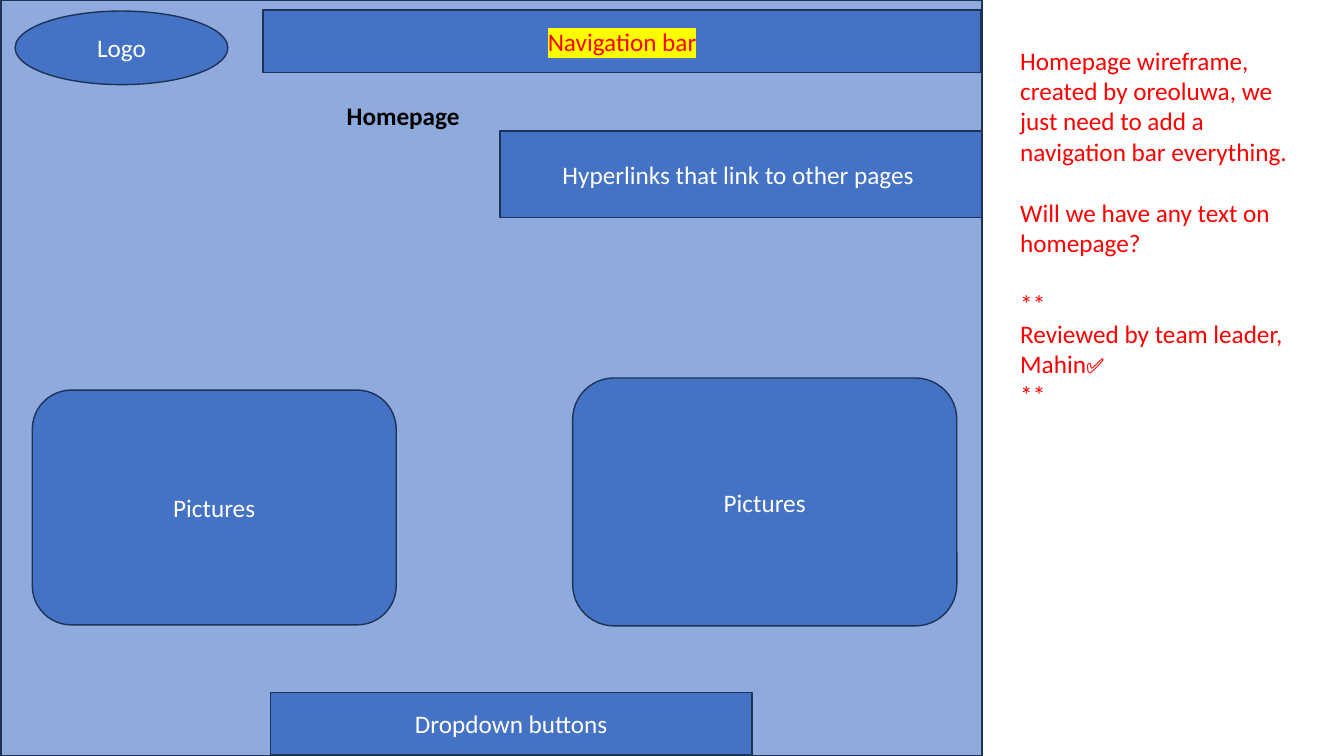
from lxml import etree
from pptx import Presentation
from pptx.dml.color import RGBColor
from pptx.enum.shapes import MSO_SHAPE as Shape
from pptx.enum.text import MSO_ANCHOR as Anchor, MSO_AUTO_SIZE as AutoSize, PP_ALIGN as Align
from pptx.oxml.ns import qn
from pptx.util import Inches, Pt

COLORS = {
    "page": "8FAADC",
    "block": "4472C4",
    "outline": "1E3256",
    "label": "FFFFFF",
    "heading": "000000",
    "note": "FF0000",
    "marker": "FFFF00",
}


class Wireframe:
    face = "Calibri"
    size = 18

    def __init__(self, slide):
        self.slide = slide

    def style(self, font, color, size=None, face=None, bold=None):
        font.name = face or self.face
        font.size = Pt(size or self.size)
        font.color.rgb = RGBColor.from_string(COLORS[color])
        font.bold = bold

    def block(self, kind, box, label="", fill="block", color="label"):
        block = self.slide.shapes.add_shape(kind, *map(Inches, box))
        block.shadow.inherit = False
        block.fill.solid()
        block.fill.fore_color.rgb = RGBColor.from_string(COLORS[fill])
        block.line.color.rgb = RGBColor.from_string(COLORS["outline"])
        block.line.width = Pt(1)
        if label:
            frame = block.text_frame
            frame.word_wrap = True
            frame.vertical_anchor = Anchor.MIDDLE
            line = frame.paragraphs[0]
            line.alignment = Align.CENTER
            line.add_run().text = label
            self.style(line.font, color)
        return block

    def highlight(self, block, color):
        run = block.text_frame.paragraphs[0].runs[0]
        marker = etree.SubElement(run.font._element, qn("a:highlight"))
        etree.SubElement(marker, qn("a:srgbClr"), val=COLORS[color])

    def text(self, box, lines, color, bold=None):
        frame = self.slide.shapes.add_textbox(*map(Inches, box)).text_frame
        frame.word_wrap = True
        frame.auto_size = AutoSize.SHAPE_TO_FIT_TEXT
        for index, (words, gap, mark) in enumerate(lines):
            line = frame.add_paragraph() if index else frame.paragraphs[0]
            if gap:
                line.space_before = Pt(gap)
            run = line.add_run()
            run.text = words
            if mark:
                self.style(run.font, color, bold=bold)
                tick = line.add_run()
                tick.text = mark
                self.style(tick.font, color, size=15, face="Arial")
            else:
                self.style(line.font, color, bold=bold)


def main():
    deck = Presentation()
    deck.slide_width, deck.slide_height = Inches(13.33), Inches(7.5)
    page = Wireframe(deck.slides.add_slide(deck.slide_layouts[6]))

    page.block(Shape.RECTANGLE, (0.01, 0, 9.73, 7.5), fill="page")
    page.block(Shape.ROUNDED_RECTANGLE, (0.32, 3.87, 3.61, 2.33), "Pictures")
    page.block(Shape.OVAL, (0.15, 0.11, 2.11, 0.73), "Logo")
    page.block(Shape.ROUNDED_RECTANGLE, (5.68, 3.75, 3.81, 2.46), "Pictures")
    page.text((3.34, 0.95, 1.46, 0.4), [("Homepage", 0, "")], "heading", bold=True)
    page.block(Shape.RECTANGLE, (4.96, 1.3, 4.78, 0.86), "Hyperlinks that link to other pages ")
    page.block(Shape.RECTANGLE, (2.68, 6.87, 4.78, 0.62), "Dropdown buttons")

    blank_line = 22
    review_notes = [
        ("Homepage wireframe, created by oreoluwa, we just need to add a navigation bar everything.", 0, ""),
        ("Will we have any text on homepage?", blank_line, ""),
        ("**", blank_line, ""),
        ("Reviewed by team leader, Mahin", 0, "✅"),
        ("**", 0, ""),
    ]
    page.text((10.02, 0.4, 3.01, 3.74), review_notes, "note")

    navigation = page.block(Shape.RECTANGLE, (2.61, 0.1, 7.12, 0.62), "Navigation bar", color="note")
    page.highlight(navigation, "marker")

    deck.save("out.pptx")


if __name__ == "__main__":
    main()
